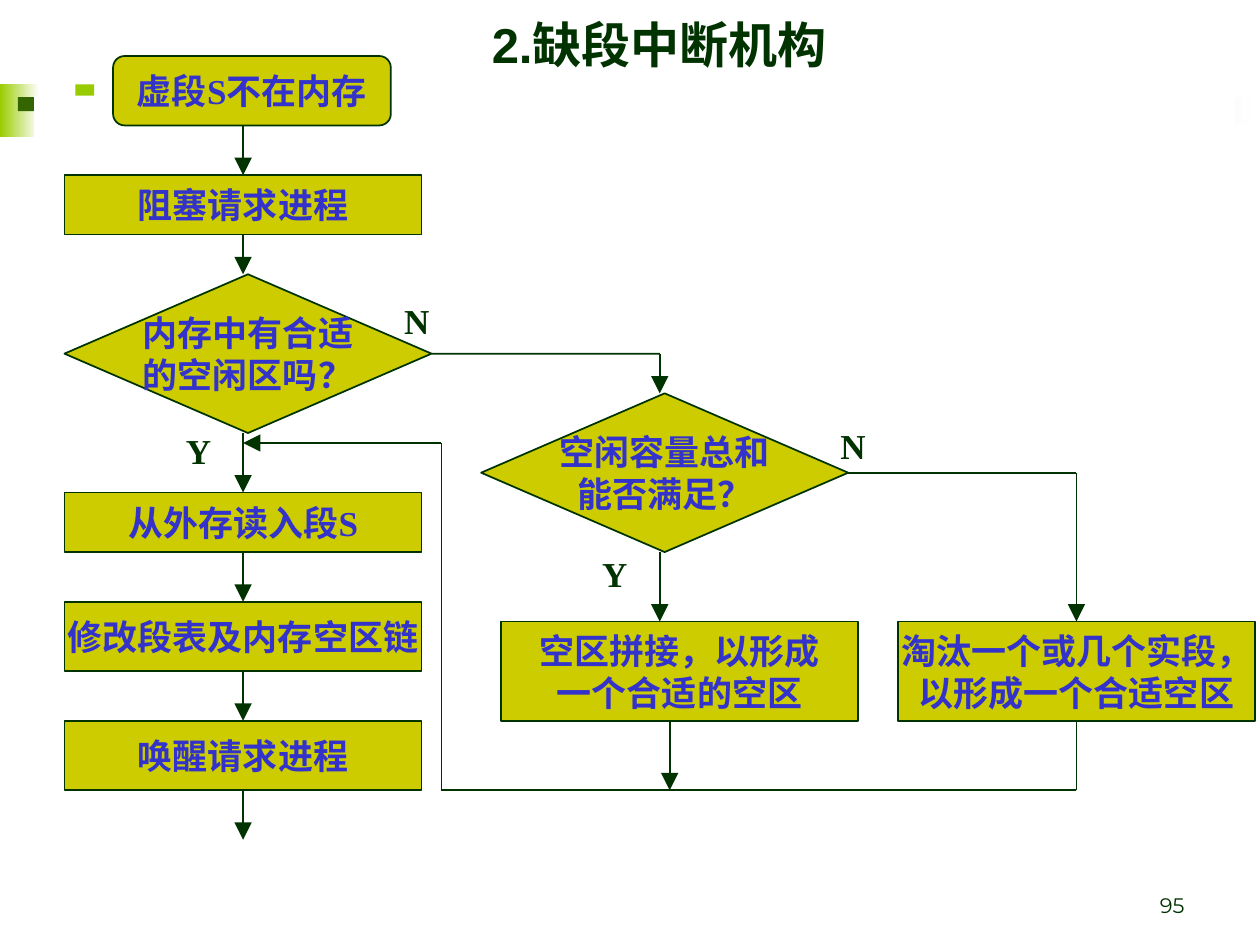
import pptx
import pptx.util
import pptx.dml.color
import pptx.enum.shapes
import pptx.enum.text
import pptx.oxml.ns
from lxml import etree

Cm, Pt = pptx.util.Cm, pptx.util.Pt
SHAPE = pptx.enum.shapes.MSO_SHAPE
ALIGN = pptx.enum.text.PP_ALIGN
ANCHOR = pptx.enum.text.MSO_ANCHOR

COLORS = {"box": "CCCC00", "ink": "003300", "text": "3333CC", "white": "FFFFFF",
          "lime": "99CC00", "forest": "336600"}

# left, top, width, height (cm), fill, or (from, to) for a gradient
DECOR = [
    (0, 1.7, 0.79, 1.07, ("lime", "white")),
    (1.14, 1.96, 24.26, 0.56, ("forest", "white")),
    (1.52, 1.7, 0.38, 0.28, "lime"),
    (0.36, 1.96, 0.38, 0.28, "forest"),
    (0.69, 1.93, 24.2, 2.21, "white"),
]

BOX_W, DIAMOND_W, DIAMOND_H = 7.2, 7.4, 3.2
LEFT, MIDDLE, RIGHT = 1.3, 10.1, 18.1
AXIS = LEFT + BOX_W / 2
RIGHT_AXIS = RIGHT + BOX_W / 2
YES_X, MERGE_X, RETURN_X, RETURN_Y = 13.3, 13.5, 8.9, 8.93
TOP = 1.13

# kind, left, width, height, gap below, lines
MAIN_COLUMN = [
    (SHAPE.FLOWCHART_ALTERNATE_PROCESS, 2.28, 5.6, 1.4, 1.0, ["虚段S不在内存"]),
    (SHAPE.RECTANGLE, LEFT, BOX_W, 1.2, 0.8, ["阻塞请求进程"]),
    (SHAPE.FLOWCHART_DECISION, LEFT, DIAMOND_W, DIAMOND_H, 1.2,
     ["内存中有合适", "的空闲区吗？"]),
    (SHAPE.RECTANGLE, LEFT, BOX_W, 1.2, 1.0, ["从外存读入段S"]),
    (SHAPE.RECTANGLE, LEFT, BOX_W, 1.4, 1.0, ["修改段表及内存空区链"]),
    (SHAPE.RECTANGLE, LEFT, BOX_W, 1.4, 1.0, ["唤醒请求进程"]),
]
# kind, left, top, width, height, lines
BRANCHES = [
    (SHAPE.FLOWCHART_DECISION, 9.7, 7.93, DIAMOND_W, DIAMOND_H,
     ["空闲容量总和", "能否满足？"]),
    (SHAPE.RECTANGLE, MIDDLE, 12.53, BOX_W, 2, ["空区拼接，以形成", "一个合适的空区"]),
    (SHAPE.RECTANGLE, RIGHT, 12.53, BOX_W, 2,
     ["淘汰一个或几个实段，", "以形成一个合适空区"]),
]
# corner points; the last segment carries the arrowhead
ROUTES = [
    [(8.7, 7.13), (YES_X, 7.13), (YES_X, 7.93)],
    [(YES_X, 11.13), (YES_X, 12.53)],
    [(17.1, 9.53), (RIGHT_AXIS, 9.53), (RIGHT_AXIS, 12.53)],
    [(MERGE_X, 14.53), (MERGE_X, 15.93)],
    [(RIGHT_AXIS, 14.53), (RIGHT_AXIS, 15.93), (RETURN_X, 15.93),
     (RETURN_X, RETURN_Y), (AXIS, RETURN_Y)],
]
LABELS = [("N", 7.9, 5.92), ("Y", 3.5, 8.53), ("Y", 11.89, 11.02), ("N", 16.69, 8.43)]

BODY = {"size": Pt(20), "name": "Times New Roman", "bold": True}
TITLE = {"size": Pt(28), "name": "Arial", "bold": True}
NUMBER = {"size": Pt(12), "name": "Montserrat", "bold": False}


def rgb(name):
    return pptx.dml.color.RGBColor.from_string(COLORS[name])


def write(s, lines, font, color, align=ALIGN.CENTER, anchor=ANCHOR.MIDDLE, wrap=False):
    tf = s.text_frame
    tf.word_wrap = wrap
    tf.vertical_anchor = anchor
    for i, line in enumerate(lines):
        p = tf.paragraphs[0] if i == 0 else tf.add_paragraph()
        p.alignment = align
        r = p.add_run()
        r.text = line
        for key, value in font.items():
            setattr(r.font, key, value)
        r.font.color.rgb = rgb(color)


def add_text(slide, at, *args, **kwargs):
    write(slide.shapes.add_textbox(*map(Cm, at)), *args, **kwargs)


def add_decor(slide, *at, fill):
    s = slide.shapes.add_shape(SHAPE.RECTANGLE, *map(Cm, at))
    s.shadow.inherit = False
    s.line.fill.background()
    if isinstance(fill, tuple):
        s.fill.gradient()
        s.fill.gradient_angle = 0
        for stop, name in zip(s.fill.gradient_stops, fill):
            stop.color.rgb = rgb(name)
    else:
        s.fill.solid()
        s.fill.fore_color.rgb = rgb(fill)


def add_node(slide, sites, kind, x, y, w, h, lines):
    """Draw a flowchart step and record its four side midpoints in sites."""
    s = slide.shapes.add_shape(kind, Cm(x), Cm(y), Cm(w), Cm(h))
    s.shadow.inherit = False
    s.fill.solid()
    s.fill.fore_color.rgb = rgb("box")
    s.line.color.rgb = rgb("ink")
    s.line.width = Pt(1)
    write(s, lines, BODY, "text")
    mids = [(x + w / 2, y), (x, y + h / 2), (x + w / 2, y + h), (x + w, y + h / 2)]
    for i, (mx, my) in enumerate(mids):
        sites[round(mx, 2), round(my, 2)] = (s, i)


def add_route(slide, sites, points):
    """Draw straight segments, joined to any step whose side midpoint they meet."""
    for i, (a, b) in enumerate(zip(points, points[1:])):
        c = slide.shapes.add_connector(pptx.enum.shapes.MSO_CONNECTOR.STRAIGHT,
                                       *map(Cm, a + b))
        c.line.color.rgb = rgb("ink")
        c.line.width = Pt(1)
        for join, (x, y) in ((c.begin_connect, a), (c.end_connect, b)):
            site = sites.get((round(x, 2), round(y, 2)))
            if site:
                join(*site)
        if i == len(points) - 2:
            tail = etree.SubElement(c.line._get_or_add_ln(), pptx.oxml.ns.qn("a:tailEnd"))
            tail.set("type", "triangle")
            tail.set("w", "lg")
            tail.set("len", "lg")
        etree.SubElement(c._element.spPr, pptx.oxml.ns.qn("a:effectLst"))


def main():
    prs = pptx.Presentation()
    prs.slide_width, prs.slide_height = Cm(25.4), Cm(19.05)
    slide = prs.slides.add_slide(prs.slide_layouts[6])

    for *at, fill in DECOR:
        add_decor(slide, *at, fill=fill)
    add_text(slide, (18.21, 17.35, 5.92, 1.27), ["95"], NUMBER, "ink",
             align=ALIGN.RIGHT, anchor=ANCHOR.BOTTOM, wrap=True)
    add_text(slide, (2.49, 0, 21.59, 1.78), ["2.缺段中断机构"], TITLE, "ink", wrap=True)

    sites, arrows, y = {}, [], TOP
    for kind, x, w, h, gap, lines in MAIN_COLUMN:
        add_node(slide, sites, kind, x, y, w, h, lines)
        arrows.append([(AXIS, y + h), (AXIS, y + h + gap)])
        y += h + gap
    for node in BRANCHES:
        add_node(slide, sites, *node)
    for points in arrows + ROUTES:
        add_route(slide, sites, points)
    for text, x, y in LABELS:
        add_text(slide, (x, y, 1, 1.12), [text], BODY, "ink", anchor=ANCHOR.TOP)

    prs.save("out.pptx")


if __name__ == "__main__":
    main()
